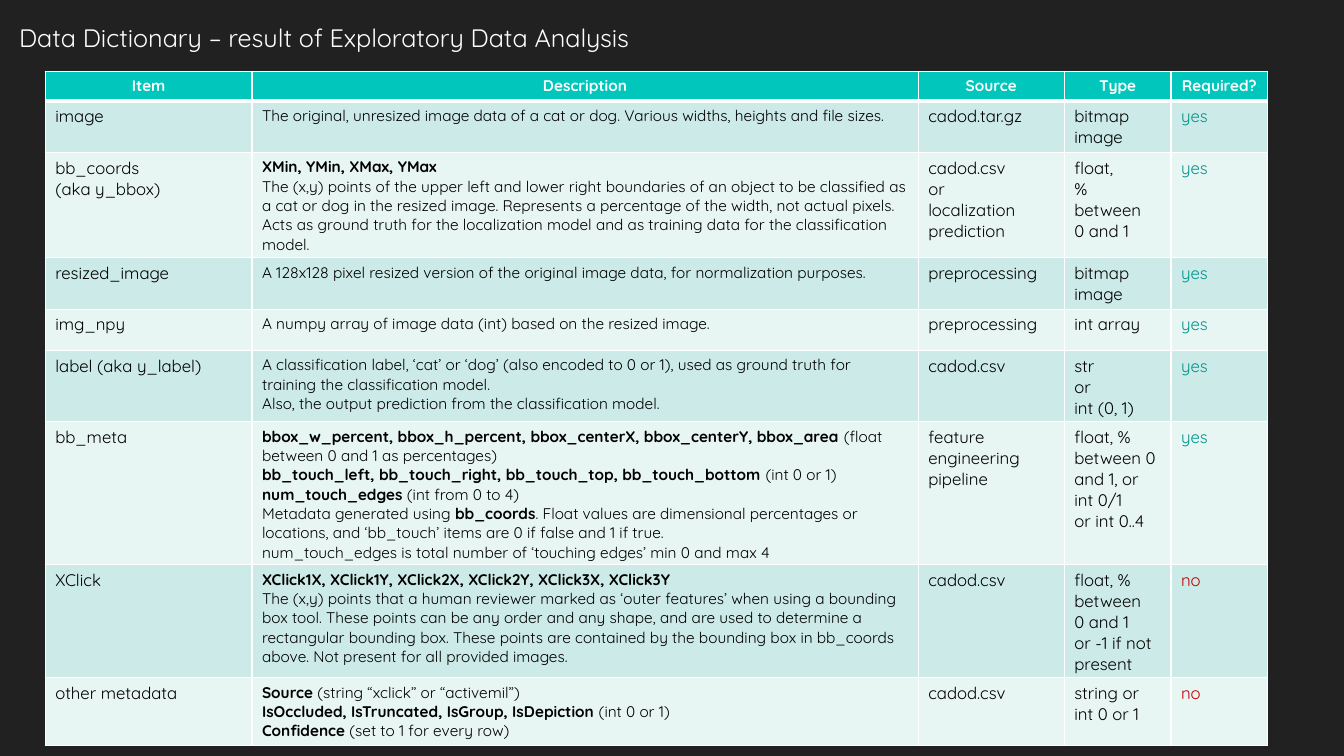
from lxml.etree import SubElement
from pptx import Presentation
from pptx.dml.color import RGBColor
from pptx.enum.text import MSO_ANCHOR, PP_ALIGN
from pptx.oxml.ns import qn
from pptx.util import Cm, Pt

FONT = "Quicksand"
WHITE, BLACK = "FFFFFF", "000000"
TEAL, BANDS = "00C6BB", ("CCEAE7", "E7F5F3")
ANSWER_COLORS = {"yes": "00948C", "no": "C00000"}

HEADINGS = ("Item", "Description", "Source", "Type", "Required?")
COLUMN_WIDTHS = (5.21, 16.79, 3.68, 2.69, 2.44)
ROW_HEIGHTS = (0.74, 1.3, 2.65, 1.3, 1.04, 1.8, 3.6, 2.85, 1.7)
ENTRIES = (
    ("image",
     "The original, unresized image data of a cat or dog. Various widths, heights and file sizes.",
     "cadod.tar.gz", "bitmap image", "yes"),
    ("bb_coords\n(aka y_bbox)",
     "**XMin, YMin, XMax, YMax**\n"
     "The (x,y) points of the upper left and lower right boundaries of an object to be classified "
     "as a cat or dog in the resized image. Represents a percentage of the width, not actual pixels. "
     "Acts as ground truth for the localization model and as training data for the classification model.",
     "cadod.csv\nor\nlocalization prediction", "float,\n%\nbetween\n0 and 1", "yes"),
    ("resized_image",
     "A 128x128 pixel resized version of the original image data, for normalization purposes.",
     "preprocessing", "bitmap image", "yes"),
    ("img_npy",
     "A numpy array of image data (int) based on the resized image.",
     "preprocessing", "int array", "yes"),
    ("label (aka y_label)",
     "A classification label, ‘cat’ or ‘dog’ (also encoded to 0 or 1), used as ground truth for "
     "training the classification model.\n"
     "Also, the output prediction from the classification model.",
     "cadod.csv", "str\nor\nint (0, 1)", "yes"),
    ("bb_meta",
     "**bbox_w_percent, bbox_h_percent, bbox_centerX, bbox_centerY, bbox_area **"
     "(float between 0 and 1 as percentages)\n"
     "**bb_touch_left, bb_touch_right, bb_touch_top, bb_touch_bottom **(int 0 or 1) "
     "**num_touch_edges **(int from 0 to 4)\n"
     "Metadata generated using **bb_coords**. Float values are dimensional percentages or locations, "
     "and ‘bb_touch’ items are 0 if false and 1 if true.\n"
     "num_touch_edges is total number of ‘touching edges’ min 0 and max 4",
     "feature engineering pipeline", "float, % between 0 and 1, or int 0/1\nor int 0..4", "yes"),
    ("XClick",
     "**XClick1X, XClick1Y, XClick2X, XClick2Y, XClick3X, XClick3Y**\n"
     "The (x,y) points that a human reviewer marked as ‘outer features’ when using a bounding box "
     "tool. These points can be any order and any shape, and are used to determine a rectangular "
     "bounding box. These points are contained by the bounding box in bb_coords above. "
     "Not present for all provided images.",
     "cadod.csv", "float, %\nbetween\n0 and 1\nor -1 if not present", "no"),
    ("other metadata",
     "**Source** (string “xclick” or “activemil”)\n"
     "**IsOccluded, IsTruncated, IsGroup, IsDepiction **(int 0 or 1)\n"
     "**Confidence** (set to 1 for every row)",
     "cadod.csv", "string or\nint 0 or 1", "no"),
)


def rgb(hex_color):
    return RGBColor.from_string(hex_color)


def write(frame, text, size, color, bold=False, align=PP_ALIGN.LEFT):
    frame.text = text
    for paragraph in frame.paragraphs:
        paragraph.alignment = align
        pieces = paragraph.text.split("**")
        paragraph.clear()
        for index, piece in enumerate(pieces):
            if piece:
                run = paragraph.add_run()
                run.text = piece
                run.font.name = FONT
                run.font.size = Pt(size)
                run.font.bold = bold or index % 2 == 1
                run.font.color.rgb = rgb(color)


def fill_cell(cell, fill, bottom_width):
    properties = cell._tc.get_or_add_tcPr()
    for side, width in (("L", 1), ("R", 1), ("T", 1), ("B", bottom_width)):
        border = SubElement(properties, qn(f"a:ln{side}"), w=str(Pt(width)))
        SubElement(SubElement(border, qn("a:solidFill")), qn("a:srgbClr"), val=WHITE)
    cell.fill.solid()
    cell.fill.fore_color.rgb = rgb(fill)


def add_title(slide, left, top, width, height):
    title = slide.shapes.add_textbox(Cm(left), Cm(top), Cm(width), Cm(height)).text_frame
    title.word_wrap = True
    title.vertical_anchor = MSO_ANCHOR.BOTTOM
    write(title, "Data Dictionary – result of Exploratory Data Analysis", 18, "FEFEFE")


def add_dictionary(slide, left, top, widths, heights):
    dictionary = slide.shapes.add_table(
        len(heights), len(widths), Cm(left), Cm(top), Cm(sum(widths)), Cm(sum(heights))).table
    for column, width in zip(dictionary.columns, widths):
        column.width = Cm(width)
    for row, height in zip(dictionary.rows, heights):
        row.height = Cm(height)
    for index, heading in enumerate(HEADINGS):
        cell = dictionary.cell(0, index)
        fill_cell(cell, TEAL, 3)
        write(cell.text_frame, heading, 11, WHITE, True, PP_ALIGN.CENTER)
    for number, entry in enumerate(ENTRIES):
        for heading, text, cell in zip(HEADINGS, entry, dictionary.rows[number + 1].cells):
            fill_cell(cell, BANDS[number % 2], 1)
            size = 11 if heading == "Description" else 12
            write(cell.text_frame, text, size, ANSWER_COLORS.get(text, BLACK))


def main():
    presentation = Presentation()
    presentation.slide_width, presentation.slide_height = Cm(33.87), Cm(19.05)
    slide = presentation.slides.add_slide(presentation.slide_layouts[6])
    slide.background.fill.solid()
    slide.background.fill.fore_color.rgb = rgb("212121")
    add_title(slide, 0.23, 0.3, 20.8, 1.14)
    add_dictionary(slide, 1.14, 1.8, COLUMN_WIDTHS, ROW_HEIGHTS)
    presentation.save("out.pptx")


if __name__ == "__main__":
    main()
